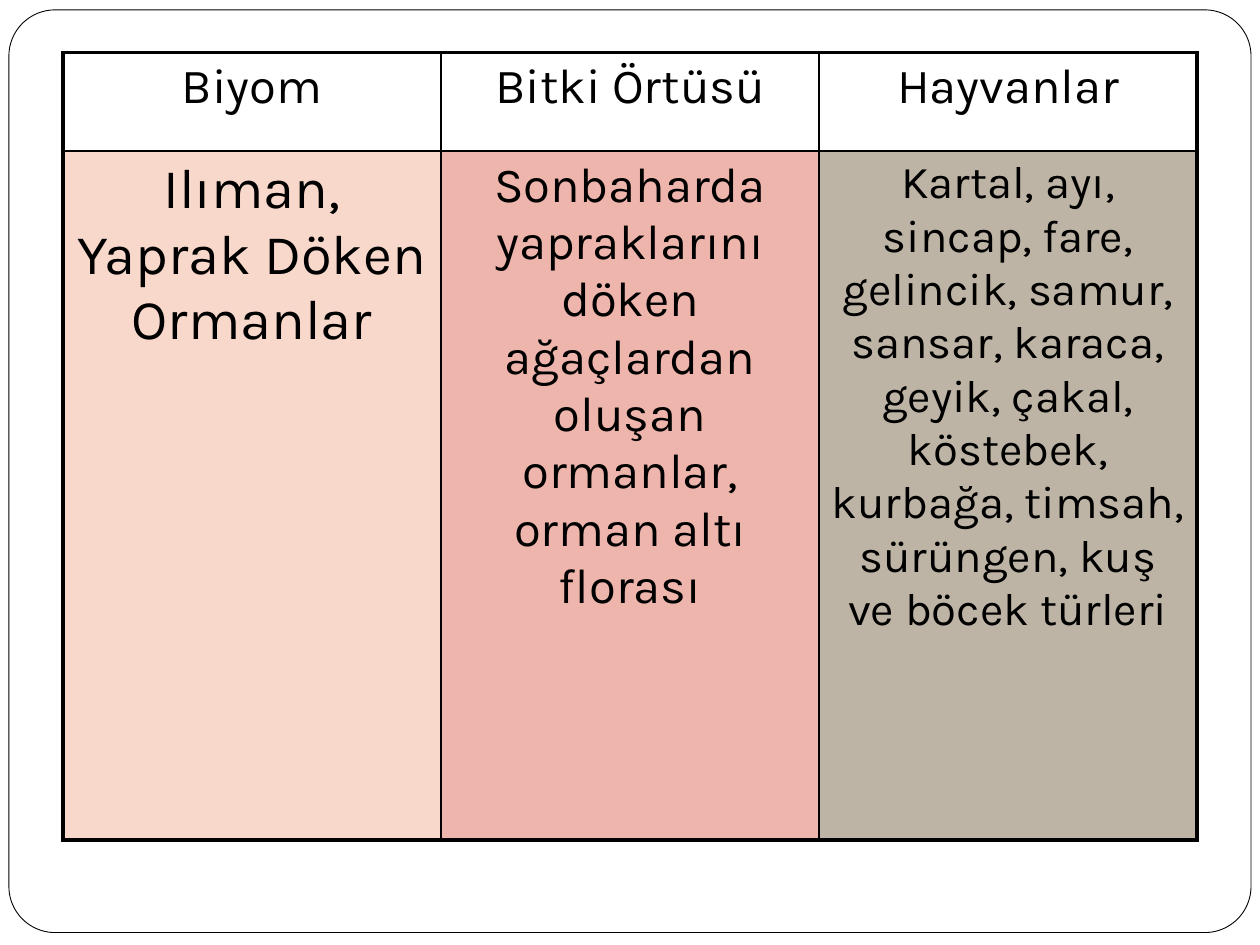
from pptx import Presentation
from pptx.dml.color import RGBColor
from pptx.enum.shapes import MSO_SHAPE
from pptx.enum.text import PP_ALIGN
from pptx.oxml.ns import qn
from pptx.util import Cm, Pt
from lxml.etree import SubElement

BLACK = RGBColor(0x00, 0x00, 0x00)
WHITE = RGBColor(0xFF, 0xFF, 0xFF)
PEACH = RGBColor(0xF4, 0xB3, 0x9B)
RED = RGBColor(0xDF, 0x6C, 0x5D)
BROWN = RGBColor(0x7C, 0x6B, 0x4D)
FONT = "Karla"
THIN, THICK = Pt(1), Pt(2.25)

ROWS = [
    [("Biyom", 28, WHITE), ("Bitki Örtüsü", 28, WHITE), ("Hayvanlar", 28, WHITE)],
    [
        (("Ilıman,", "Yaprak Döken Ormanlar"), 32, PEACH),
        ("Sonbaharda yapraklarını döken ağaçlardan oluşan ormanlar, "
         "orman altı florası", 28, RED),
        ("Kartal, ayı, sincap, fare, gelincik, samur, sansar, karaca, geyik, "
         "çakal, köstebek, kurbağa, timsah, sürüngen, kuş ve böcek türleri", 26, BROWN),
    ],
]
HEIGHTS = [1.98, 13.89]
WIDTH = 7.62


def add_edge(props, side, width):
    line = SubElement(props, qn(f"a:ln{side}"), w=str(width))
    fill = SubElement(line, qn("a:solidFill"))
    SubElement(fill, qn("a:srgbClr"), val=str(BLACK))


def fill_cell(cell, text, size, color, edges):
    props = cell._tc.get_or_add_tcPr()
    for side, outer in edges.items():
        add_edge(props, side, THICK if outer else THIN)
    cell.fill.solid()
    cell.fill.fore_color.rgb = color
    tint = props.find(qn("a:solidFill")).find(qn("a:srgbClr"))
    SubElement(tint, qn("a:alpha"), val="50000")
    para = cell.text_frame.paragraphs[0]
    para.alignment = PP_ALIGN.CENTER
    lines = [text] if isinstance(text, str) else text
    for i, part in enumerate(lines):
        if i:
            para.add_line_break()
        run = para.add_run()
        run.text = part
        run.font.name = FONT
        run.font.size = Pt(size)
        run.font.color.rgb = BLACK


deck = Presentation()
deck.slide_width, deck.slide_height = Cm(25.4), Cm(19.05)
slide = deck.slides.add_slide(deck.slide_layouts[6])

frame = slide.shapes.add_shape(
    MSO_SHAPE.ROUNDED_RECTANGLE, Cm(0.18), Cm(0.2), Cm(25.04), Cm(18.6))
frame.adjustments[0] = 0.05
frame.shadow.inherit = False
frame.fill.solid()
frame.fill.fore_color.rgb = WHITE
frame.line.color.rgb = BLACK
frame.line.width = Pt(0.5)

count = len(ROWS[0])
table = slide.shapes.add_table(
    len(ROWS), count, Cm(1.27), Cm(1.06), Cm(WIDTH * count), Cm(sum(HEIGHTS))).table
for col in table.columns:
    col.width = Cm(WIDTH)
for r, row in enumerate(ROWS):
    table.rows[r].height = Cm(HEIGHTS[r])
    for c, (text, size, color) in enumerate(row):
        edges = {"L": c == 0, "R": c == count - 1,
                 "T": r == 0, "B": r == len(ROWS) - 1}
        fill_cell(table.cell(r, c), text, size, color, edges)

deck.save("out.pptx")
